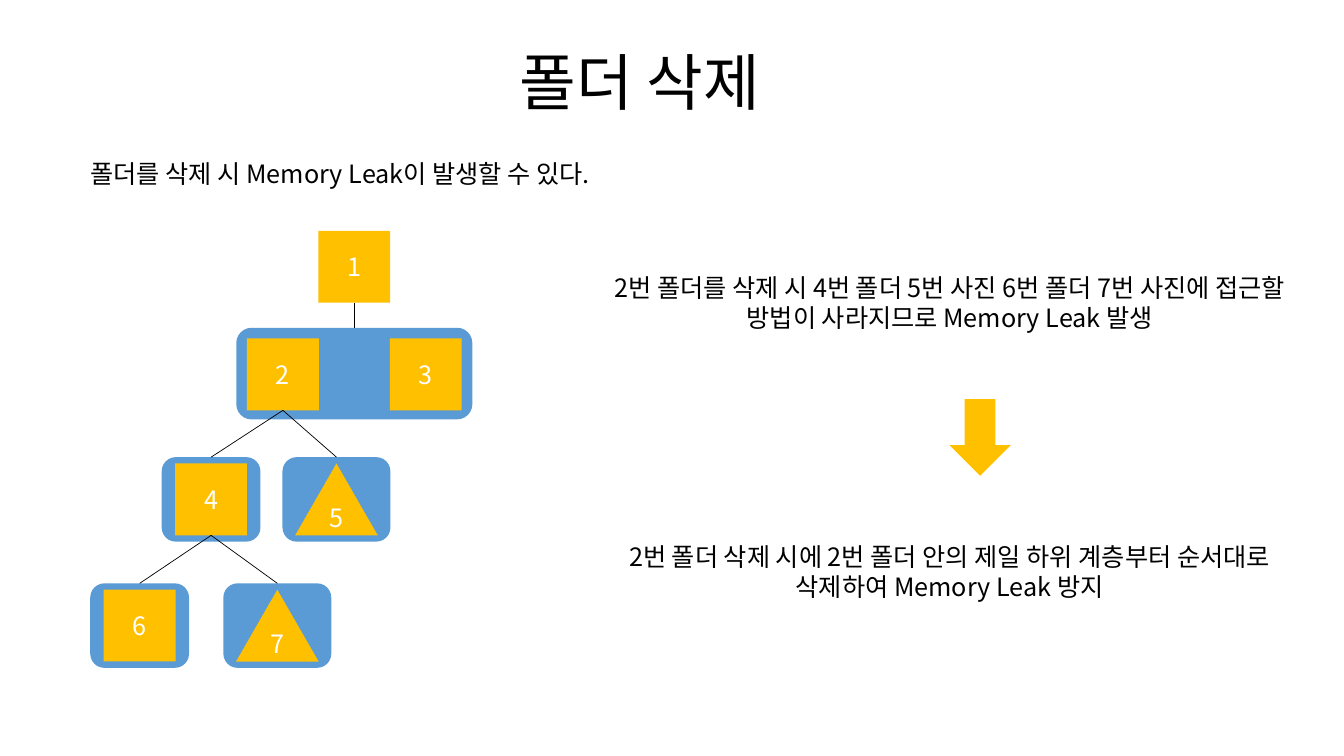
from lxml.etree import SubElement
from pptx import Presentation
from pptx.dml.color import RGBColor
from pptx.enum.shapes import MSO_CONNECTOR, MSO_SHAPE
from pptx.enum.text import MSO_ANCHOR, MSO_AUTO_SIZE, PP_ALIGN
from pptx.oxml.ns import qn
from pptx.util import Cm, Pt

FONT = "Noto Sans CJK KR"
BLACK = RGBColor(0x00, 0x00, 0x00)
WHITE = RGBColor(0xFF, 0xFF, 0xFF)
BLUE = RGBColor(0x5B, 0x9B, 0xD5)
GOLD = RGBColor(0xFF, 0xC0, 0x00)

TEXTS = [
    ("폴더 삭제", 12.85, 0.97, 9.58, 2.13, 44, PP_ALIGN.LEFT),
    ("폴더를 삭제 시 Memory Leak이 발생할 수 있다.",
     2.03, 3.86, 20.73, 1.02, 18, PP_ALIGN.LEFT),
    ("2번 폴더를 삭제 시 4번 폴더 5번 사진 6번 폴더 7번 사진에 "
     "접근할 방법이 사라지므로 Memory Leak 발생",
     15.21, 6.73, 17.45, 1.8, 18, PP_ALIGN.CENTER),
    ("2번 폴더 삭제 시에 2번 폴더 안의 제일 하위 계층부터 순서대로 "
     "삭제하여 Memory Leak 방지",
     15.19, 13.51, 17.48, 1.8, 18, PP_ALIGN.CENTER),
]

FOLDER = (MSO_SHAPE.RECTANGLE, 1.81, 2.49)
PHOTO = (MSO_SHAPE.ISOSCELES_TRIANGLE, 2.08, 2.72)
SIDE = 1.81
ROWS = [5.82, 8.53, 11.68, 14.86]
NODES = {
    "1": (FOLDER, 8.93, 0),
    "2": (FOLDER, 7.13, 1),
    "3": (FOLDER, 10.73, 1),
    "4": (FOLDER, 5.32, 2),
    "5": (PHOTO, 8.48, 2),
    "6": (FOLDER, 3.52, 3),
    "7": (PHOTO, 6.99, 3),
}
PAIR = (8.93, 8.26, 5.95, 2.31)
LINKS = [("1", "pair"), ("2", "4"), ("2", "5"), ("4", "6"), ("4", "7")]
ARROW = (24.7, 10.06, 1.55, 1.93)

deck = Presentation()
deck.slide_width, deck.slide_height = Cm(33.87), Cm(19.05)
slide = deck.slides.add_slide(deck.slide_layouts[6])
shapes = slide.shapes


def style(par, size, color, align):
    par.alignment = align
    font = par.font
    font.name, font.size = FONT, Pt(size)
    font.color.rgb = color
    SubElement(par._p.pPr.find(qn("a:defRPr")), qn("a:ea"), typeface=FONT)


def block(kind, mid, top, width, height, color):
    shape = shapes.add_shape(
        kind, Cm(mid - width / 2), Cm(top), Cm(width), Cm(height))
    shape.shadow.inherit = False
    shape.fill.solid()
    shape.fill.fore_color.rgb = color
    shape.line.fill.background()
    return shape


def label(text, left, top, width, height, size, align):
    box = shapes.add_textbox(Cm(left), Cm(top), Cm(width), Cm(height))
    frame = box.text_frame
    frame.word_wrap = True
    frame.auto_size = MSO_AUTO_SIZE.SHAPE_TO_FIT_TEXT
    frame.text = text
    style(frame.paragraphs[0], size, BLACK, align)


def link(start, end):
    line = shapes.add_connector(MSO_CONNECTOR.STRAIGHT, 0, 0, 0, 0)
    line.begin_connect(start, 2)
    line.end_connect(end, 0)
    line.line.color.rgb = BLACK
    line.line.width = Pt(0.5)
    SubElement(line._element.spPr, qn("a:effectLst"))


boxes = {"pair": block(MSO_SHAPE.ROUNDED_RECTANGLE, *PAIR, BLUE)}
for name, ((kind, width, outer), mid, row) in NODES.items():
    if row > 1:
        boxes[name] = block(MSO_SHAPE.ROUNDED_RECTANGLE, mid,
                            ROWS[row] - 0.16, outer, 2.13, BLUE)

for item in TEXTS:
    label(*item)

nodes = {}
for name, ((kind, width, outer), mid, row) in NODES.items():
    node = nodes[name] = block(kind, mid, ROWS[row], width, SIDE, GOLD)
    frame = node.text_frame
    frame.vertical_anchor = MSO_ANCHOR.MIDDLE
    frame.text = name
    style(frame.paragraphs[0], 18, WHITE, PP_ALIGN.CENTER)

block(MSO_SHAPE.DOWN_ARROW, *ARROW, GOLD)
for start, end in LINKS:
    link(nodes[start], boxes[end])

deck.save("out.pptx")
